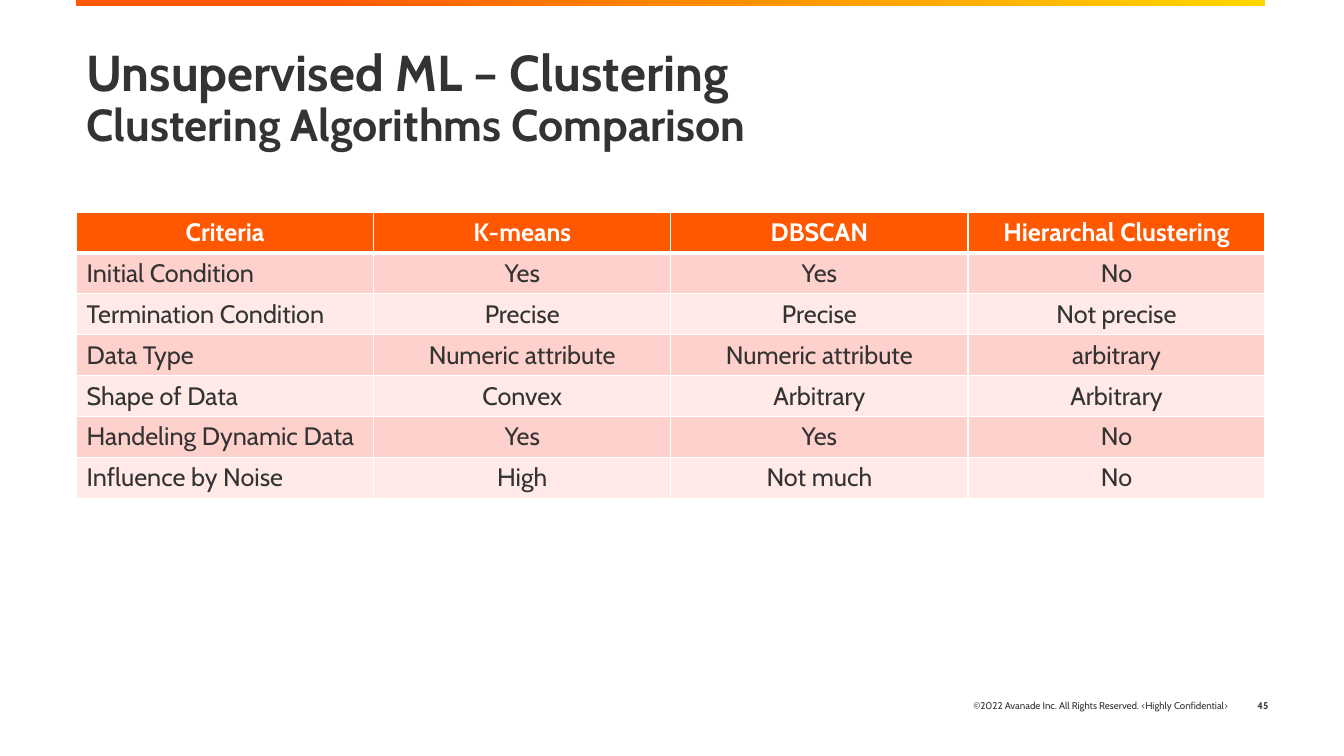
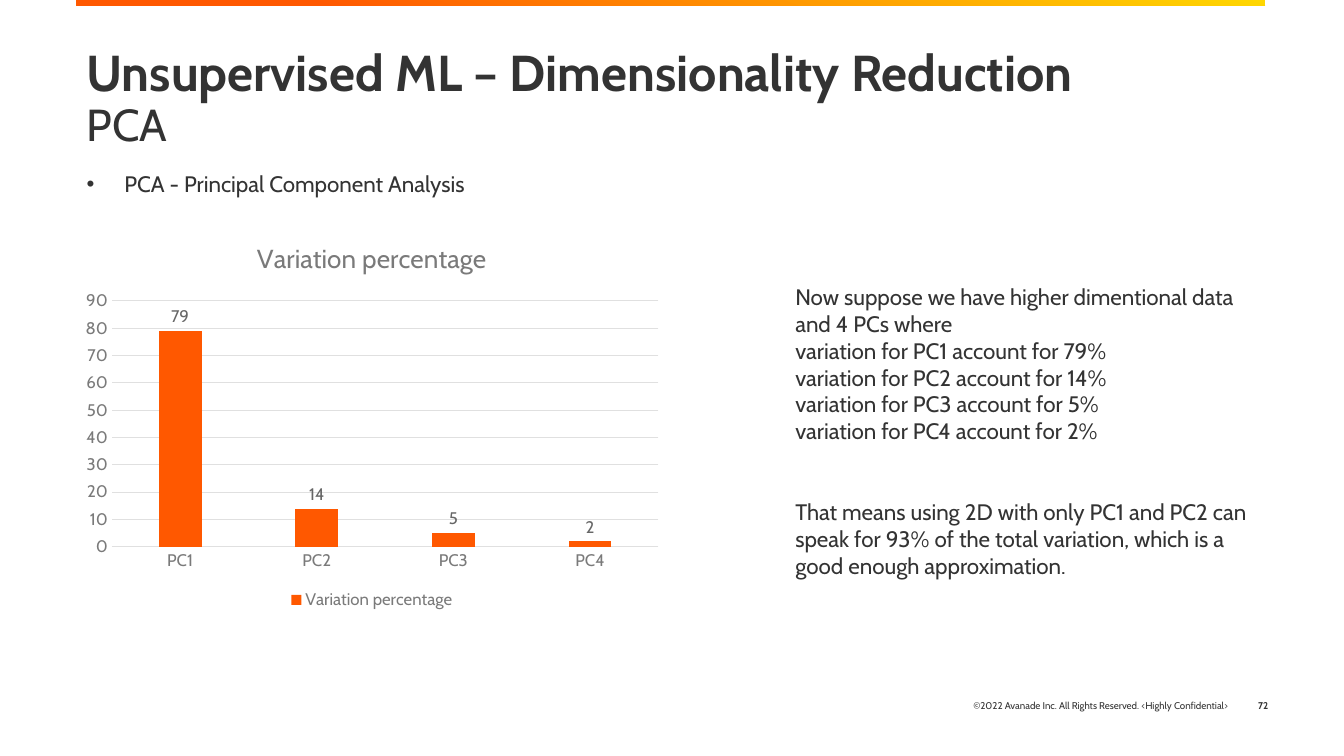
import dataclasses

import lxml.etree
import pptx
import pptx.chart.data
import pptx.dml.color
import pptx.enum.chart
import pptx.enum.shapes
import pptx.enum.text
import pptx.oxml.ns
import pptx.util

Pt = pptx.util.Pt
qn = pptx.oxml.ns.qn
ALIGN = pptx.enum.text.PP_ALIGN
ANCHOR = pptx.enum.text.MSO_ANCHOR
CHART = pptx.enum.chart


@dataclasses.dataclass(frozen=True)
class Theme:
    font: str = "Cabin"
    # Colours
    ink: str = "333333"
    white: str = "FFFFFF"
    brand: str = "FF5800"
    gold: str = "FFD700"
    bands: tuple = ("FFD1CC", "FFEAE7")
    axis: str = "7A7A7A"
    value: str = "666666"
    grid: str = "E0E0E0"
    # Type sizes
    head: float = 36
    sub: float = 32
    cell: float = 18
    body: float = 16
    name: float = 18.6
    label: float = 12
    foot: float = 7


def put(thing, **values):
    """Set each named format value on an object."""
    for key, value in values.items():
        setattr(thing, key, value)


def rgb(tint):
    return pptx.dml.color.RGBColor.from_string(tint)


def paint(fill, tint):
    fill.solid()
    fill.fore_color.rgb = rgb(tint)


class Deck:
    LEFT, WIDTH = 54.7, 849

    def __init__(self, theme):
        self.theme = theme
        self.file = pptx.Presentation()
        put(self.file, slide_width=Pt(960), slide_height=Pt(540))
        self.slide = None

    def style(self, font, size, tint=None, bold=False):
        put(font, name=self.theme.font, size=Pt(size), bold=bold)
        font.color.rgb = rgb(tint or self.theme.ink)

    def stroke(self, line, tint):
        line.width = Pt(0.75)
        paint(line.fill, tint)

    # Page with band, footer and number
    def page(self, number):
        theme = self.theme
        self.slide = self.file.slides.add_slide(self.file.slide_layouts[6])
        band = self.slide.shapes.add_shape(
            pptx.enum.shapes.MSO_SHAPE.RECTANGLE,
            Pt(self.LEFT), 0, Pt(self.WIDTH), Pt(4))
        band.shadow.inherit = False
        band.line.fill.background()
        band.fill.gradient()
        band.fill.gradient_angle = 250
        stops = zip(band.fill.gradient_stops, (theme.gold, theme.brand), (0, 0.8))
        for stop, tint, place in stops:
            stop.color.rgb = rgb(tint)
            stop.position = place
        notice = "©2022 Avanade Inc. All Rights Reserved. <Highly Confidential>"
        for left, width, words, bold in ((560.2, 324, notice, False),
                                         (878.4, 34.6, str(number), True)):
            frame = self.box(left, 489.6, width, 28.8)
            frame.vertical_anchor = ANCHOR.MIDDLE
            para = frame.paragraphs[0]
            para.alignment = ALIGN.RIGHT
            self.run(para, words, theme.foot, bold)

    # Text
    def box(self, left, top, width, height):
        shape = self.slide.shapes.add_textbox(Pt(left), Pt(top), Pt(width), Pt(height))
        shape.text_frame.word_wrap = True
        return shape.text_frame

    def run(self, para, words, size, bold=False):
        run = para.add_run()
        run.text = words
        self.style(run.font, size, bold=bold)

    def title(self, head, sub, bold):
        para = self.box(self.LEFT, 31, self.WIDTH, 78.5).paragraphs[0]
        para.line_spacing = 0.9
        self.run(para, head, self.theme.head, True)
        para.add_line_break()
        self.run(para, sub, self.theme.sub, bold)

    def bullet(self, words, top):
        para = self.box(self.LEFT, top, self.WIDTH, 78.5).paragraphs[0]
        para.line_spacing = 0.9
        props = para._p.get_or_add_pPr()
        props.set("marL", str(Pt(27)))
        props.set("indent", str(Pt(-27)))
        lxml.etree.SubElement(props, qn("a:buFont")).set("typeface", "Arial")
        lxml.etree.SubElement(props, qn("a:buChar")).set("char", "•")
        self.run(para, words, self.theme.body)

    def prose(self, blocks, left, top, width, height, gap):
        frame = self.box(left, top, width, height)
        for i, block in enumerate(blocks):
            for j, words in enumerate(block):
                first = i == j == 0
                para = frame.paragraphs[0] if first else frame.add_paragraph()
                if i and not j:
                    para.space_before = Pt(gap)
                self.run(para, words, self.theme.body)

    # Table
    def edge(self, cell, **sides):
        props = cell._tc.get_or_add_tcPr()
        for side, width in sides.items():
            line = lxml.etree.SubElement(props, qn("a:ln" + side), w=str(Pt(width)))
            fill = lxml.etree.SubElement(line, qn("a:solidFill"))
            lxml.etree.SubElement(fill, qn("a:srgbClr"), val=self.theme.white)

    def table(self, rows, top, high):
        theme = self.theme
        grid = self.slide.shapes.add_table(
            len(rows), len(rows[0]), Pt(self.LEFT), Pt(top),
            Pt(self.WIDTH), Pt(high * len(rows))).table
        put(grid, first_row=False, horz_banding=False)
        for i, row in enumerate(rows):
            grid.rows[i].height = Pt(high)
            for j, words in enumerate(row):
                cell = grid.cell(i, j)
                head = i == 0
                self.edge(cell, L=1, R=1, T=3 if i == 1 else 1, B=3 if head else 1)
                paint(cell.fill, theme.brand if head else theme.bands[(i - 1) % 2])
                cell.text = words
                para = cell.text_frame.paragraphs[0]
                para.alignment = ALIGN.CENTER if head or j else ALIGN.LEFT
                self.style(para.runs[0].font, theme.cell,
                           theme.white if head else theme.ink, head)

    # Chart
    def chart(self, name, points, left, top, width, height):
        theme = self.theme
        data = pptx.chart.data.CategoryChartData()
        data.categories = list(points)
        data.add_series(name, list(points.values()))
        chart = self.slide.shapes.add_chart(
            CHART.XL_CHART_TYPE.COLUMN_CLUSTERED,
            Pt(left), Pt(top), Pt(width), Pt(height), data).chart
        self.style(chart.font, theme.label, theme.axis)
        put(chart, has_title=True, has_legend=True)
        frame = chart.chart_title.text_frame
        frame.text = name
        self.style(frame.paragraphs[0].runs[0].font, theme.name, theme.axis)
        chart.chart_title.include_in_layout = False
        put(chart.legend, position=CHART.XL_LEGEND_POSITION.BOTTOM,
            include_in_layout=False)
        self.style(chart.legend.font, theme.label, theme.axis)

        # Axes
        across, up = chart.category_axis, chart.value_axis
        for axis in (across, up):
            put(axis, major_tick_mark=CHART.XL_TICK_MARK.NONE,
                minor_tick_mark=CHART.XL_TICK_MARK.NONE)
            self.style(axis.tick_labels.font, theme.label, theme.axis)
        self.stroke(across.format.line, theme.grid)
        put(up, minimum_scale=0, maximum_scale=90, major_unit=10,
            has_major_gridlines=True)
        up.format.line.fill.background()
        self.stroke(up.major_gridlines.format.line, theme.grid)

        # Columns
        plot = chart.plots[0]
        put(plot, gap_width=219, overlap=-27, vary_by_categories=False)
        series = plot.series[0]
        paint(series.format.fill, theme.brand)
        labels = series.data_labels
        put(labels, show_value=True, position=CHART.XL_LABEL_POSITION.OUTSIDE_END)
        self.style(labels.font, theme.label, theme.value)


def main():
    deck = Deck(Theme())

    # Comparison table
    deck.page(45)
    deck.title("Unsupervised ML – Clustering", "Clustering Algorithms Comparison", True)
    deck.table((
        ("Criteria", "K-means", "DBSCAN", "Hierarchal Clustering"),
        ("Initial Condition", "Yes", "Yes", "No"),
        ("Termination Condition", "Precise", "Precise", "Not precise"),
        ("Data Type", "Numeric attribute", "Numeric attribute", "arbitrary"),
        ("Shape of Data", "Convex", "Arbitrary", "Arbitrary"),
        ("Handeling Dynamic Data", "Yes", "Yes", "No"),
        ("Influence by Noise", "High", "Not much", "No"),
    ), top=151.5, high=29.2)

    # Principal components
    shares = {"PC1": 79, "PC2": 14, "PC3": 5, "PC4": 2}
    deck.page(72)
    deck.bullet("PCA - Principal Component Analysis", top=120.2)
    deck.title("Unsupervised ML – Dimensionality Reduction", "PCA", False)
    deck.prose((
        ["Now suppose we have higher dimentional data and 4 PCs where"]
        + [f"variation for {key} account for {share}%" for key, share in shares.items()],
        ["That means using 2D with only PC1 and PC2 can speak for 93% of the "
         "total variation, which is a good enough approximation."],
    ), 561, 198.7, 346.3, 220.3, gap=38.4)
    deck.chart("Variation percentage", shares, 52.6, 159.1, 426.2, 279.4)

    deck.file.save("out.pptx")


if __name__ == "__main__":
    main()
